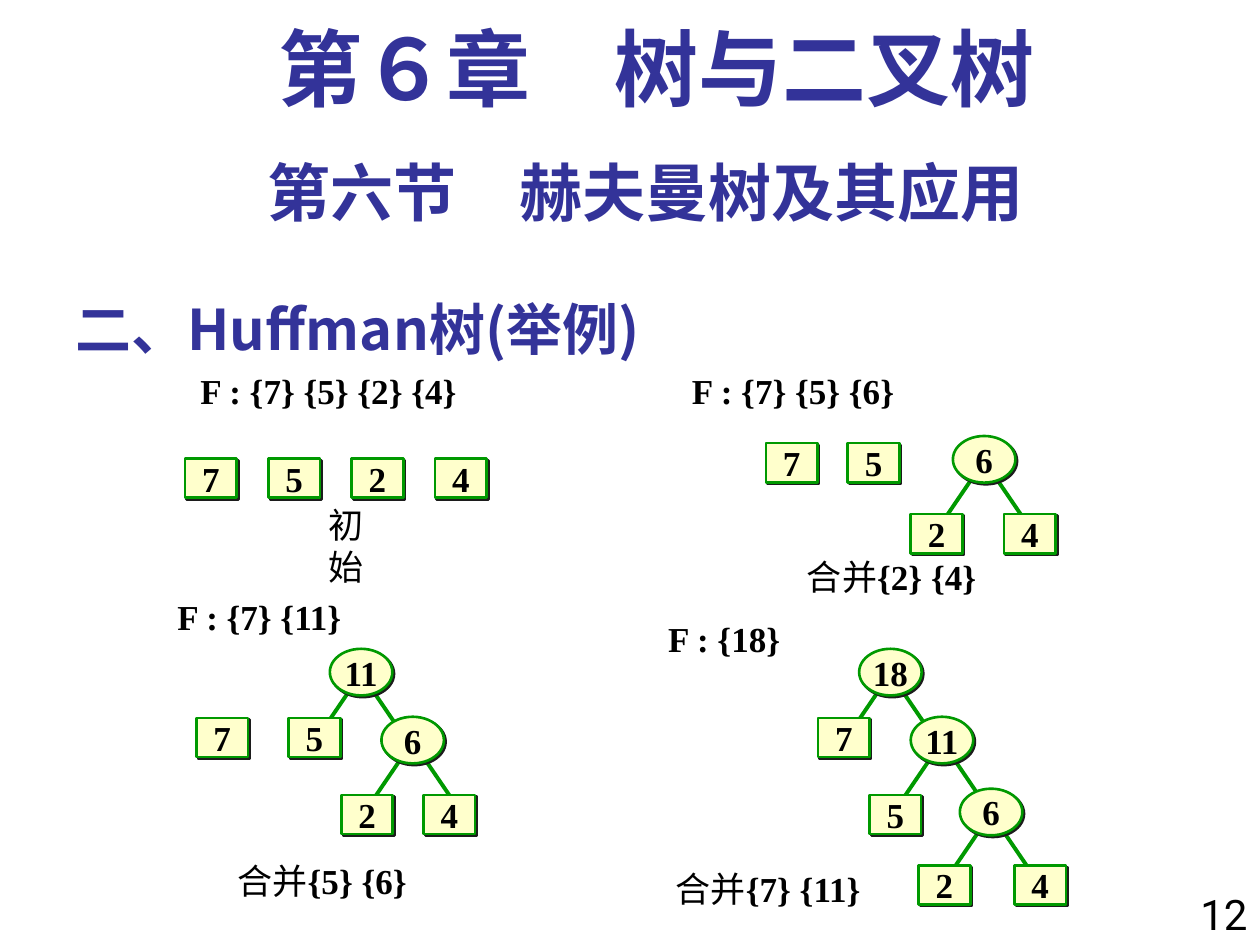
from lxml.etree import SubElement
from pptx import Presentation
from pptx.dml.color import RGBColor
from pptx.enum.shapes import MSO_CONNECTOR, MSO_SHAPE
from pptx.enum.text import MSO_ANCHOR, PP_ALIGN
from pptx.oxml.ns import qn
from pptx.util import Cm, Pt

rgb = RGBColor.from_string
NAVY, BLACK, GREEN, CREAM, SHADOW = "333399", "000000", "009900", "FFFFCC", "1C1C1C"
CJK = "Noto Sans CJK SC"
TIMES = "Times New Roman"


def write(sp, text, lead="", size=20, font=TIMES, color=BLACK, bold=True,
          align=PP_ALIGN.CENTER, anchor=MSO_ANCHOR.MIDDLE, wrap=False, spacing=1.0):
    """Fill a shape with one paragraph: a plain lead, then the text."""
    tf = sp.text_frame
    tf.word_wrap = wrap
    tf.vertical_anchor = anchor
    p = tf.paragraphs[0]
    p.alignment = align
    p.line_spacing = spacing
    for part, weight in ((lead, False), (text, bold)):
        if part:
            r = p.add_run()
            r.text = part
            r.font.size = Pt(size)
            r.font.name = font
            r.font.bold = weight
            r.font.color.rgb = rgb(color)
            SubElement(r._r.rPr, qn("a:ea"), typeface=CJK)


def set_effects(sp, shadow=None):
    """Give a shape or connector a hard offset shadow, or no effect at all."""
    effects = SubElement(sp._element.spPr, qn("a:effectLst"))
    if shadow:
        outer = SubElement(effects, qn("a:outerShdw"), dist="17780", dir="2700000",
                           algn="ctr", rotWithShape="0")
        SubElement(outer, qn("a:srgbClr"), val=shadow)


prs = Presentation()
prs.slide_width, prs.slide_height = Cm(25.4), Cm(19.05)
s = prs.slides.add_slide(prs.slide_layouts[6])

# Headings and page number: box in cm, text, format
top = MSO_ANCHOR.TOP
headings = [
    ((1.7, 0.43, 23.06, 2.11), "第６章　树与二叉树",
     dict(size=48, color=NAVY, anchor=top, spacing=0.9)),
    ((1.27, 2.97, 23.5, 1.78), "第六节　赫夫曼树及其应用",
     dict(size=36, color=NAVY, font="Roboto", anchor=top)),
    ((1.27, 5.51, 15.88, 1.9), "二、Huffman树(举例)",
     dict(size=32, color=NAVY, font=CJK, align=PP_ALIGN.LEFT, anchor=MSO_ANCHOR.BOTTOM)),
    ((23.7, 17.78, 1.7, 1.5), "12",
     dict(size=24, font="Roboto", bold=False, align=PP_ALIGN.RIGHT, anchor=top)),
]
for box, text, fmt in headings:
    sp = s.shapes.add_textbox(*map(Cm, box))
    write(sp, text, wrap=True, **fmt)

# Forest and step captions: left, top, width, lead, text
captions = [
    (3.78, 7.32, 5.69, "", "F : {7} {5} {2} {4}"),
    (13.69, 7.32, 4.6, "", "F : {7} {5} {6}"),
    (3.3, 11.86, 3.86, "", "F : {7} {11}"),
    (13.22, 12.32, 2.76, "", "F : {18}"),
    (6.02, 10.44, 1.91, "初始", ""),
    (15.93, 11.07, 4.09, "合并", "{2} {4}"),
    (4.45, 17.2, 4.09, "合并", "{5} {6}"),
    (13.26, 17.35, 4.45, "合并", "{7} {11}"),
]
for x, y, w, lead, text in captions:
    sp = s.shapes.add_textbox(Cm(x), Cm(y), Cm(w), Cm(1.12))
    write(sp, text, lead=lead)

# Each stage: leaves and inner nodes as (weight, centre x, centre y)
stages = [
    ([(n, 4.25 + 1.68 * i, 9.64) for i, n in enumerate((7, 5, 2, 4))], []),
    ([(7, 15.96, 9.33), (5, 17.61, 9.33), (2, 18.88, 10.76), (4, 20.76, 10.76)],
     [(6, 19.84, 9.26)]),
    ([(7, 4.48, 14.87), (5, 6.34, 14.87), (2, 7.4, 16.42), (4, 9.06, 16.42)],
     [(11, 7.28, 13.55), (6, 8.32, 14.92)]),
    ([(7, 17.01, 14.87), (5, 18.05, 16.42), (2, 19.04, 17.84), (4, 20.97, 17.84)],
     [(18, 17.95, 13.55), (11, 18.99, 14.92), (6, 19.98, 16.37)]),
]
for leaves, inner in stages:
    for _, x, y in inner:
        for side in (-1, 1):
            edge = s.shapes.add_connector(
                MSO_CONNECTOR.STRAIGHT, Cm(x + 0.2 * side), Cm(y + 0.32),
                Cm(x + 0.84 * side), Cm(y + 1.26))
            edge.line.color.rgb = rgb(GREEN)
            edge.line.width = Pt(2.25)
            set_effects(edge)
    for nodes, kind, w, h in ((leaves, MSO_SHAPE.RECTANGLE, 1.04, 0.79),
                              (inner, MSO_SHAPE.OVAL, 1.26, 0.94)):
        for weight, x, y in nodes:
            sp = s.shapes.add_shape(kind, Cm(x - w / 2), Cm(y - h / 2), Cm(w), Cm(h))
            sp.fill.solid()
            sp.fill.fore_color.rgb = rgb(CREAM)
            sp.line.color.rgb = rgb(GREEN)
            sp.line.width = Pt(1.5)
            set_effects(sp, SHADOW)
            tf = sp.text_frame
            tf.margin_left = tf.margin_right = tf.margin_top = tf.margin_bottom = 0
            write(sp, str(weight))

prs.save("out.pptx")
